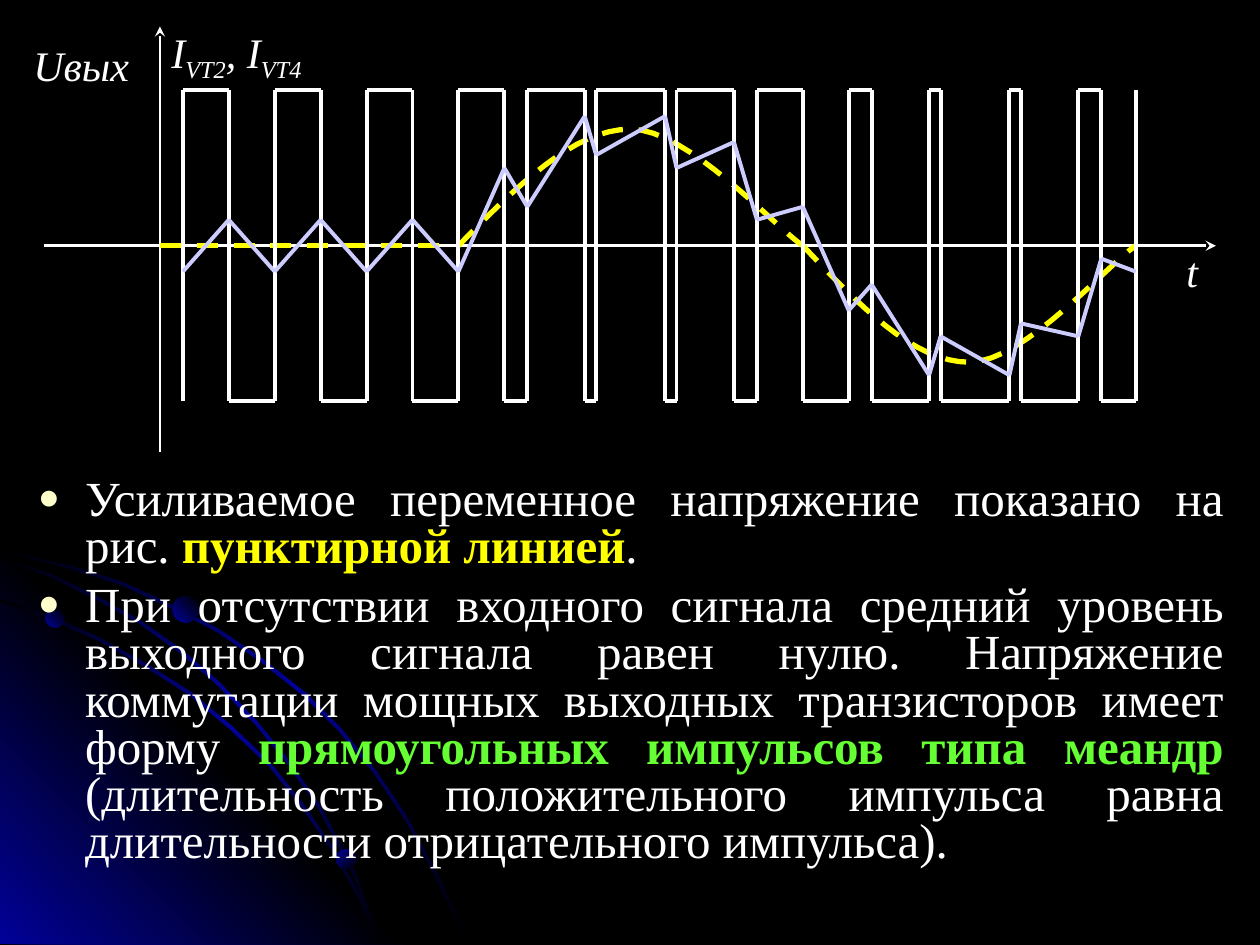
from itertools import pairwise

from pptx import Presentation
from pptx.dml.color import RGBColor
from pptx.enum import dml, shapes, text
from pptx.oxml import parse_xml
from pptx.oxml.ns import nsdecls
from pptx.util import Pt

FONT = "Times New Roman"
WHITE, YELLOW, LILAC, GREEN = "FFFFFF", "FFFF00", "CCCCFF", "66FF33"
BLACK, BLUE, CREAM = "000000", "010199", "FFFFCC"

# Switching moments in time slots, and the ripple current at each of them
SWITCHES = [2, 6, 10, 14, 18, 22, 26, 30, 32, 37, 38, 44, 45,
            50, 52, 56, 60, 62, 67, 68, 74, 75, 80, 82, 85]
RIPPLE = [-2, 2, -2, 2, -2, 2, -2, 6, 3, 10, 7, 10, 6,
          8, 2, 3, -5, -3, -10, -7, -10, -6, -7, -1, -2]
PULSE = 12
HALF_WAVES = [
    [[(26, 0), (31, 4.5), (36, 9), (41, 9)], [(41, 9), (46, 9), (53.5, 1.5), (56, 0)]],
    [[(56, 0), (60.8, -4.5), (65.6, -9), (70.5, -9)],
     [(70.5, -9), (75.3, -9), (82.5, -1.5), (85, 0)]],
]

# Upper edges of the curved streaks, relative to the corner box
STREAKS = [
    [(0, 6), (41, 16), (70, 25), (98, 38), (125, 52), (150, 69), (174, 88),
     (195, 109), (215, 133), (233, 160), (252, 196), (268, 232)],
    [(0, 35), (30, 45), (57, 57), (84, 72), (109, 88), (133, 108), (155, 129),
     (174, 153), (192, 179), (206, 205), (218, 232)],
    [(0, 11), (28, 20), (55, 33), (80, 47), (104, 64), (126, 83), (147, 105),
     (165, 127), (183, 153), (203, 191), (218, 232)],
]
BEADS = [(25.9, 40.3, 10.8, 135), (192.2, 177.8, 11.5, 225), (98.6, 33.1, 15.1, 135)]


def rgb(value):
    return RGBColor.from_string(value)


def gradient(shape, colours, angle):
    """Fill with evenly spaced colours and no outline."""
    last = len(colours) - 1
    stops = "".join(
        f'<a:gs pos="{100000 * i // last}"><a:srgbClr val="{c}"/></a:gs>'
        for i, c in enumerate(colours))
    shape.fill.background()
    shape.line.fill.background()
    shape.shadow.inherit = False
    properties = shape._element.spPr
    no_fill = properties.find("{*}noFill")
    properties.replace(no_fill, parse_xml(
        f'<a:gradFill {nsdecls("a")} rotWithShape="1"><a:gsLst>{stops}</a:gsLst>'
        f'<a:lin ang="{angle * 60000}" scaled="0"/></a:gradFill>'))


def outline(parent, points, close):
    points = [(Pt(x), Pt(y)) for x, y in points]
    builder = parent.build_freeform(*points[0], scale=1.0)
    builder.add_line_segments(points[1:], close=close)
    return builder.convert_to_shape()


def stroke(shape, colour, width, dashed=False):
    shape.line.color.rgb = rgb(colour)
    shape.line.width = Pt(width)
    if dashed:
        shape.line.dash_style = dml.MSO_LINE.DASH


def connect(parent, start, end, colour, width, dashed=False, arrow=False):
    line = parent.add_connector(
        shapes.MSO_CONNECTOR.STRAIGHT, *(Pt(v) for v in (*start, *end)))
    stroke(line, colour, width, dashed)
    if arrow:
        line.line._get_or_add_ln().append(
            parse_xml(f'<a:tailEnd {nsdecls("a")} type="stealth"/>'))
    line._element.spPr.append(parse_xml(f'<a:effectLst {nsdecls("a")}/>'))


def bezier(controls, steps=16):
    (x0, y0), (x1, y1), (x2, y2), (x3, y3) = controls
    for step in range(steps + 1):
        t = step / steps
        s = 1 - t
        a, b, c, d = s ** 3, 3 * s * s * t, 3 * s * t * t, t ** 3
        yield a * x0 + b * x1 + c * x2 + d * x3, a * y0 + b * y1 + c * y2 + d * y3


def add_runs(paragraph, parts, size):
    """Add (text, colour, bold) parts."""
    for words, colour, bold in parts:
        run = paragraph.add_run()
        run.text = words
        run.font.name, run.font.size, run.font.bold = FONT, Pt(size), bold
        run.font.color.rgb = rgb(colour)


def axis_label(parent, left, top, width, parts, align):
    """Add an italic label in which every second part is a subscript."""
    frame = parent.add_textbox(Pt(left), Pt(top), Pt(width), Pt(29.5)).text_frame
    frame.word_wrap = True
    frame.margin_left = frame.margin_right = frame.margin_top = frame.margin_bottom = 0
    paragraph = frame.paragraphs[0]
    paragraph.alignment = align
    add_runs(paragraph, [(part, WHITE, False) for part in parts], 24)
    for i, run in enumerate(paragraph.runs):
        run.font.italic = True
        if i % 2:
            run.font._element.set("baseline", "-25000")


def corner_glow(parent, left, top, size):
    def place(points):
        return [(left + x, top + y) for x, y in points]

    def streak(edge):
        lower = [(max(x - 1, 0), y + 1.5) for x, y in reversed(edge[:-1])]
        end_x, end_y = edge[-1]
        ribbon = edge + [(end_x - 1.5, end_y)] + lower
        gradient(outline(parent, place(ribbon), True), [BLACK, BLUE, BLACK], 225)

    streak(STREAKS[0])
    triangle = outline(parent, place([(size, size), (0, size), (0, 0)]), True)
    gradient(triangle, [BLUE, BLACK, BLUE], 135)
    for edge in STREAKS[1:]:
        streak(edge)
    for x, y, diameter, angle in BEADS:
        bead = parent.add_shape(shapes.MSO_SHAPE.OVAL, Pt(left + x), Pt(top + y),
                                Pt(diameter), Pt(diameter))
        gradient(bead, [BLACK, BLUE], angle)


def waveform(parent, left, top, width, height):
    origin_x, origin_y = left + 66.2, top + 125.3
    slot, level = 6.56, 7.4

    def at(time, value):
        return origin_x + time * slot, origin_y - value * level

    connect(parent, (left, origin_y), (left + width, origin_y), WHITE, 1.5, arrow=True)
    connect(parent, (origin_x, top + height), (origin_x, top), WHITE, 1.5, arrow=True)

    connect(parent, at(0, 0), at(25, 0), YELLOW, 3, dashed=True)
    for rise, fall in HALF_WAVES:
        points = [at(*p) for p in [*bezier(rise), *list(bezier(fall))[1:]]]
        wave = outline(parent, points, False)
        wave.fill.background()
        wave.shadow.inherit = False
        stroke(wave, YELLOW, 3, dashed=True)

    for time in SWITCHES:
        connect(parent, at(time, PULSE), at(time, -PULSE), WHITE, 2.25)
    for i, (start, end) in enumerate(pairwise(SWITCHES)):
        value = -PULSE if i % 2 else PULSE
        connect(parent, at(start, value), at(end, value), WHITE, 2.25)
    for start, end in pairwise(zip(SWITCHES, RIPPLE)):
        connect(parent, at(*start), at(*end), LILAC, 2.25)

    centre, near = text.PP_ALIGN.CENTER, text.PP_ALIGN.LEFT
    axis_label(parent, left + 643, origin_y, 26, ["t"], centre)
    axis_label(parent, left - 10.8, top + 7.2, 64, ["Uвых"], centre)
    axis_label(parent, origin_x + 6.5, top, 92, ["I", "VT2", ", I", "VT4"], near)


def explanation(body, left, top, width, height):
    body.left, body.top, body.width, body.height = map(Pt, (left, top, width, height))
    frame = body.text_frame
    frame.auto_size = text.MSO_AUTO_SIZE.NONE
    frame.vertical_anchor = text.MSO_ANCHOR.TOP
    points = [
        [("Усиливаемое переменное напряжение показано на рис. ", WHITE, False),
         ("пунктирной линией", YELLOW, True), (".", WHITE, False)],
        [("При отсутствии входного сигнала средний уровень выходного сигнала равен "
          "нулю. Напряжение коммутации мощных выходных транзисторов имеет форму ",
          WHITE, False),
         ("прямоугольных импульсов типа меандр", GREEN, True),
         (" (длительность положительного импульса равна длительности "
          "отрицательного импульса).", WHITE, False)],
    ]
    for i, parts in enumerate(points):
        paragraph = frame.add_paragraph() if i else frame.paragraphs[0]
        paragraph.alignment = text.PP_ALIGN.JUSTIFY
        paragraph.line_spacing = 0.8
        paragraph.space_before = Pt(7 if i else 0)
        properties = paragraph._p.get_or_add_pPr()
        properties.set("marL", str(Pt(27)))
        properties.set("indent", str(-Pt(27)))
        for bullet in (f'<a:buClr {{}}><a:srgbClr val="{CREAM}"/></a:buClr>',
                       '<a:buSzPct {} val="75000"/>', '<a:buChar {} char="●"/>'):
            properties.append(parse_xml(bullet.format(nsdecls("a"))))
        add_runs(paragraph, parts, 28)


def main():
    deck = Presentation()
    deck.slide_width, deck.slide_height = Pt(720), Pt(540)
    slide = deck.slides.add_slide(deck.slide_layouts[1])
    slide.background.fill.solid()
    slide.background.fill.fore_color.rgb = rgb(BLACK)
    title, body = slide.placeholders
    title._element.getparent().remove(title._element)

    corner_glow(slide.shapes.add_group_shape().shapes, 0, 307.5, 232)
    slide.shapes._spTree.append(body._element)  # text goes above the glow
    explanation(body, 14.4, 270, 692, 255)
    waveform(slide.shapes.add_group_shape().shapes, 25.2, 15.1, 669.6, 243.4)
    deck.save("out.pptx")


if __name__ == "__main__":
    main()
